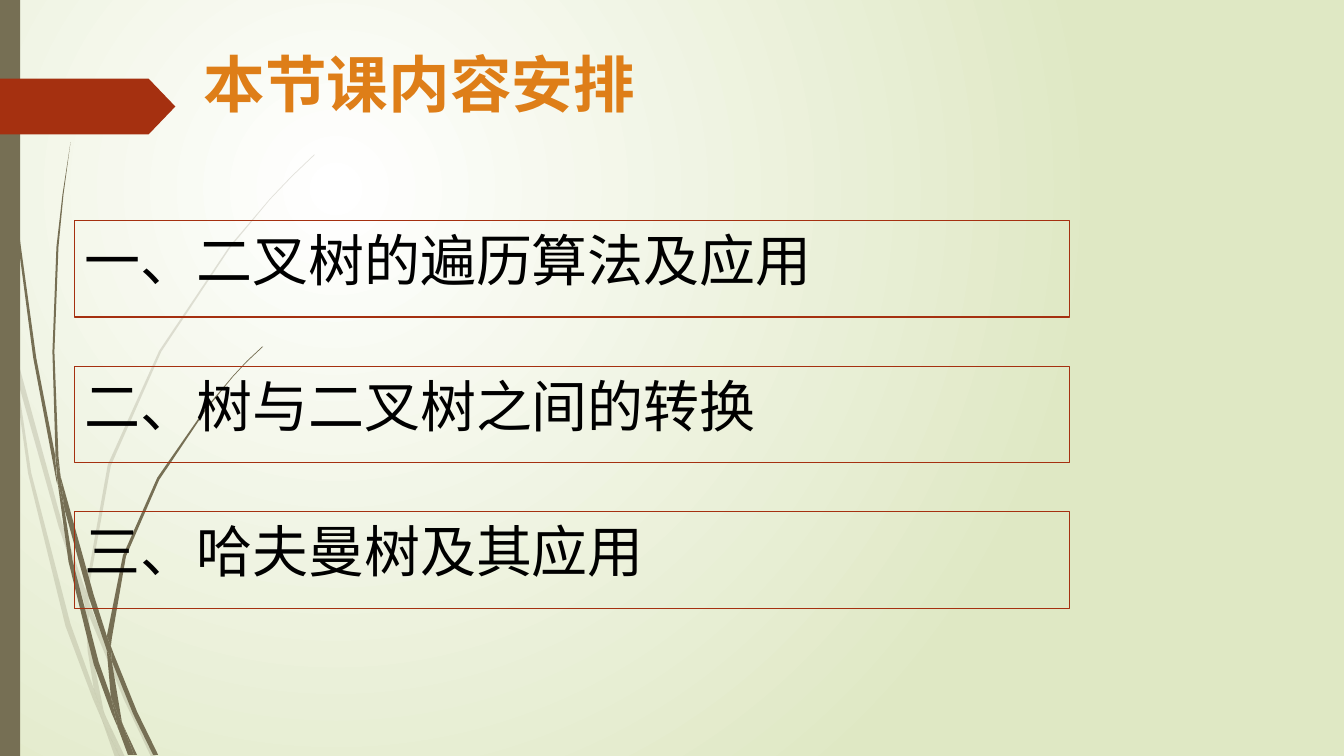
"""Build the lesson outline slide with its blades of grass."""
from dataclasses import dataclass

from lxml.etree import SubElement
from pptx import Presentation
from pptx.dml.color import RGBColor as Color
from pptx.enum.shapes import MSO_SHAPE as Preset
from pptx.enum.text import MSO_ANCHOR as Anchor, MSO_AUTO_SIZE as AutoSize, PP_ALIGN as Align
from pptx.oxml.ns import qn
from pptx.util import Cm, Pt

TITLE = "本节课内容安排"
TOPICS = [
    "一、二叉树的遍历算法及应用",
    "二、树与二叉树之间的转换",
    "三、哈夫曼树及其应用",
]
PALE_GRASS = [
    [(11, 350), (9, 322), (0, 282), (0, 299), (10, 344)],
    [(58, 522), (84, 599), (85, 586), (62, 520), (14, 345), (17, 376)],
    [(92, 607), (88, 596), (88, 610), (123, 694), (150, 751), (155, 751), (127, 692)],
    [(119, 751), (124, 751), (105, 711)],
    [(93, 683), (70, 619), (31, 469), (17, 376), (11, 350), (28, 470), (65, 621), (92, 693),
     (101, 714), (99, 707)],
    [(84, 599), (87, 646), (93, 683), (96, 692), (105, 711), (103, 706), (91, 646), (88, 610),
     (88, 608)],
    [(88, 584), (110, 462), (160, 349), (229, 245), (268, 198), (290, 175), (312, 154), (312, 153),
     (289, 175), (268, 197), (228, 244), (158, 348), (107, 461), (85, 584), (85, 586), (88, 596)],
    [(101, 714), (114, 751), (119, 751)],
    [(88, 608), (88, 610), (88, 596), (85, 586), (84, 599)],
    [(96, 692), (93, 683), (99, 707), (101, 714), (119, 751), (105, 711)],
]
DARK_GRASS = [
    [(7, 110), (17, 233), (33, 355), (56, 477), (57, 481), (55, 457), (55, 453), (36, 355),
     (19, 232), (8, 109), (5, 48), (4, 0), (3, 0), (4, 48)],
    [(88, 592), (106, 645), (106, 633), (106, 631), (93, 590), (60, 472), (64, 505)],
    [(113, 649), (110, 641), (111, 656), (132, 708), (152, 749), (157, 749), (136, 706)],
    [(110, 691), (98, 657), (72, 556), (64, 505), (57, 477), (68, 557), (93, 659), (111, 708),
     (117, 722), (116, 717)],
    [(60, 472), (58, 453), (54, 349), (58, 245), (63, 193), (70, 141), (62, 193), (56, 245),
     (52, 349), (55, 449)],
    [(133, 749), (136, 749), (122, 719)],
    [(57, 477), (64, 505), (60, 472), (55, 449), (55, 453)],
    [(111, 633), (125, 552), (158, 476), (205, 406), (231, 374), (245, 359), (261, 344), (260, 344),
     (245, 358), (231, 373), (204, 405), (156, 474), (122, 551), (106, 631), (110, 641)],
    [(117, 722), (127, 749), (131, 749)],
    [(106, 645), (110, 691), (116, 706), (122, 719), (121, 716), (111, 656), (109, 651)],
    [(106, 645), (109, 651), (111, 656), (110, 641), (106, 631), (106, 633)],
    [(116, 706), (110, 691), (116, 717), (117, 722), (130, 749), (133, 749), (122, 719)],
]


@dataclass(frozen=True)
class Theme:
    font: str = "Noto Sans CJK SC"
    title_size: int = 44
    topic_size: int = 40
    title: str = "DE7E18"
    text: str = "000000"
    accent: str = "A53010"
    grass: str = "766F54"
    center: str = "FFFFFF"
    edge: str = "DFE8C4"
    pale_opacity: int = 20


THEME = Theme()
SLIDE_WIDTH, SLIDE_HEIGHT = 33.87, 19.05
TOPIC_LEFT, TOPIC_TOP, TOPIC_WIDTH, TOPIC_HEIGHT = 1.88, 5.56, 25.07, 2.43
TOPIC_PITCH = 3.67
GRASS_UNIT = Cm(2.54) / 100


def paint(shape, color, opacity=100):
    """Give a shape a flat fill without line or shadow."""
    shape.shadow.inherit = False
    shape.line.fill.background()
    shape.fill.solid()
    shape.fill.fore_color.rgb = Color.from_string(color)
    if opacity < 100:
        rgb = shape.fill._xPr.find(qn("a:solidFill"))[0]
        SubElement(rgb, qn("a:alpha"), val=str(opacity * 1000))


def add_grass(slide, pieces, opacity=100):
    """Draw the pieces of one tuft of grass."""
    for start, *rest in pieces:
        builder = slide.shapes.build_freeform(*start, scale=GRASS_UNIT)
        builder.add_line_segments(rest, close=True)
        paint(builder.convert_to_shape(), THEME.grass, opacity)


def write(shape, text, size, color, bold=False):
    """Put one line of text at the top left of a shape."""
    frame = shape.text_frame
    frame.text = text
    frame.word_wrap = True
    frame.auto_size = AutoSize.NONE
    frame.vertical_anchor = Anchor.TOP
    paragraph = frame.paragraphs[0]
    paragraph.alignment = Align.LEFT
    font = paragraph.font
    font.name, font.size, font.bold = THEME.font, Pt(size), bold
    font.color.rgb = Color.from_string(color)
    SubElement(font._element, qn("a:ea"), typeface=THEME.font)


def paint_background(slide):
    """Fill the background with a round gradient centred at the upper left."""
    fill = slide.background.fill
    fill.gradient()
    for stop, position, color in zip(fill.gradient_stops, (0, 1), (THEME.center, THEME.edge)):
        stop.position = position
        stop.color.rgb = Color.from_string(color)
    gradient = slide.background._cSld.find(".//" + qn("a:gradFill"))
    gradient.remove(gradient.find(qn("a:lin")))
    circle = SubElement(gradient, qn("a:path"), path="circle")
    SubElement(circle, qn("a:fillToRect"), l="50000", t="50000", r="100000", b="100000")


def add_decoration(slide):
    """Draw the grass, the side bar and the title arrow."""
    add_grass(slide, PALE_GRASS, THEME.pale_opacity)
    add_grass(slide, DARK_GRASS)
    bar = slide.shapes.add_shape(Preset.RECTANGLE, 0, 0, Cm(0.51), Cm(SLIDE_HEIGHT))
    paint(bar, THEME.grass)
    arrow = slide.shapes.add_shape(Preset.PENTAGON, 0, Cm(1.98), Cm(4.42), Cm(1.41))
    arrow.adjustments[0] = 0.48
    paint(arrow, THEME.accent)


def add_topics(slide):
    """Stack the outlined topic boxes at an equal pitch."""
    for row, topic in enumerate(TOPICS):
        box = slide.shapes.add_shape(
            Preset.RECTANGLE, Cm(TOPIC_LEFT), Cm(TOPIC_TOP + row * TOPIC_PITCH),
            Cm(TOPIC_WIDTH), Cm(TOPIC_HEIGHT))
        box.shadow.inherit = False
        box.fill.background()
        box.line.color.rgb = Color.from_string(THEME.accent)
        box.line.width = Pt(0.75)
        write(box, topic, THEME.topic_size, THEME.text)


def main():
    """Assemble and save the slide."""
    presentation = Presentation()
    presentation.slide_width, presentation.slide_height = Cm(SLIDE_WIDTH), Cm(SLIDE_HEIGHT)
    slide = presentation.slides.add_slide(presentation.slide_layouts[5])
    paint_background(slide)
    add_decoration(slide)
    title = slide.shapes.title
    title.left, title.top, title.width, title.height = Cm(4.88), Cm(1.04), Cm(14.83), Cm(3.66)
    write(title, TITLE, THEME.title_size, THEME.title, bold=True)
    add_topics(slide)
    presentation.save("out.pptx")


if __name__ == "__main__":
    main()
